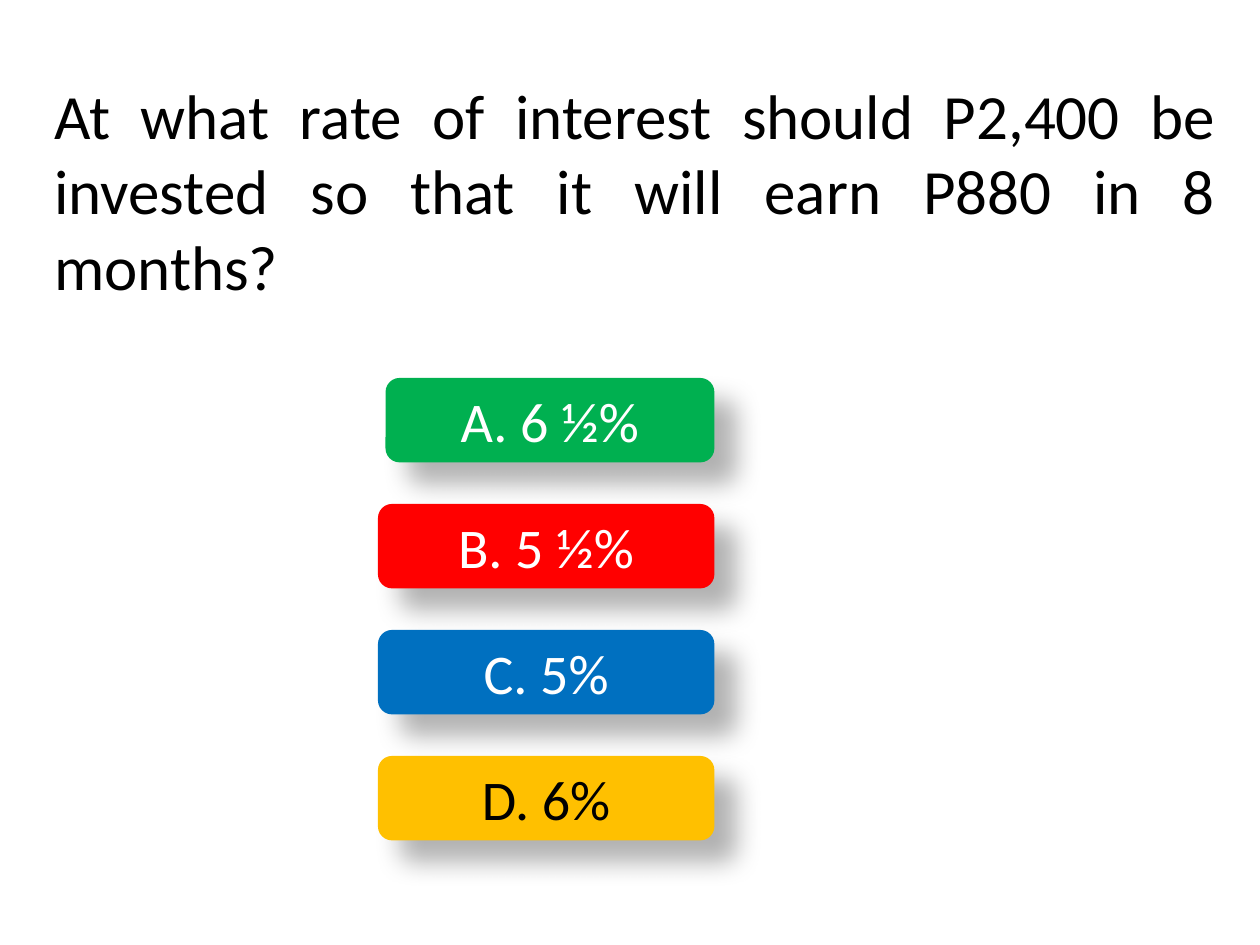
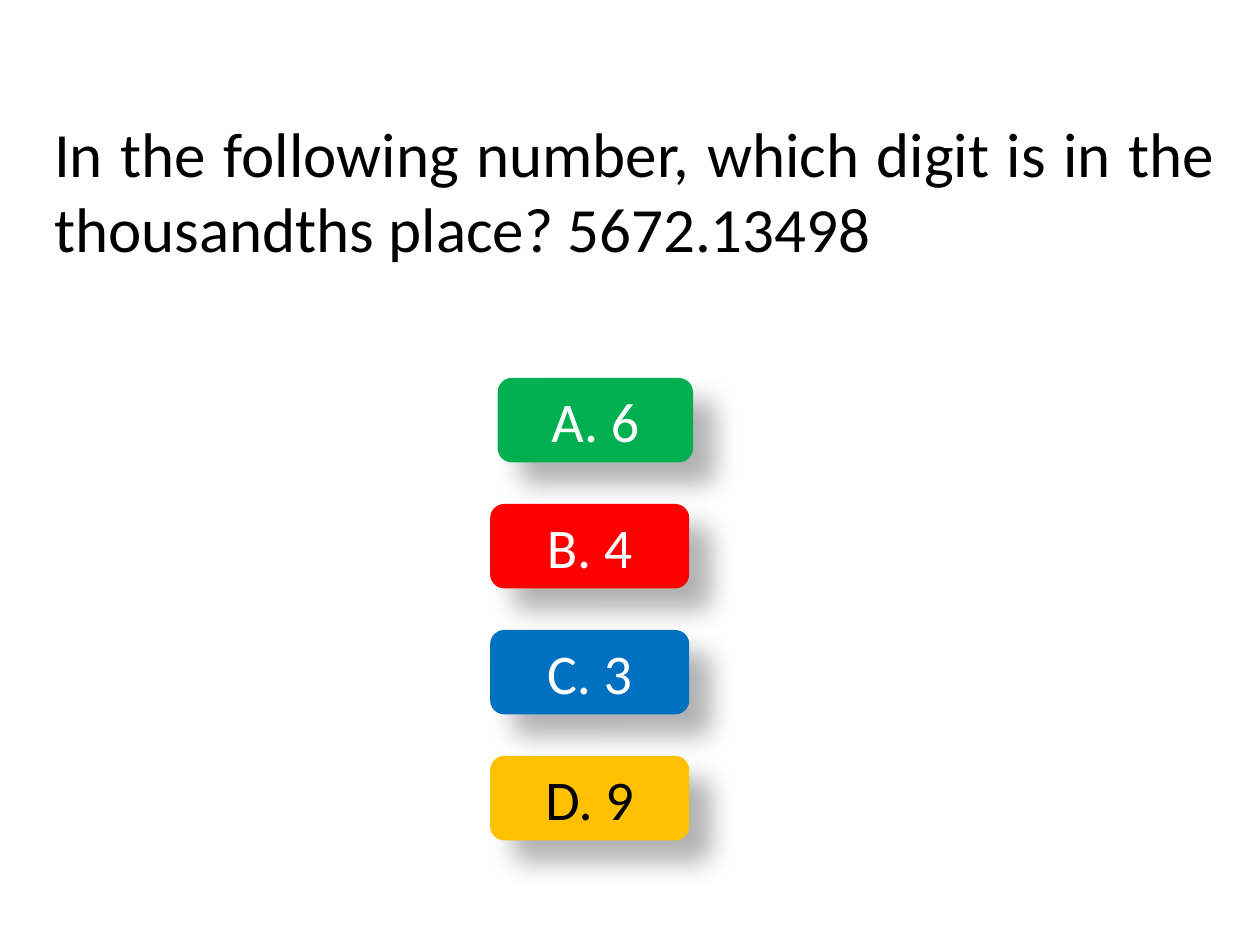
import dataclasses

import lxml.etree
import pptx
import pptx.dml.color
import pptx.enum.shapes
import pptx.enum.text
import pptx.oxml.ns
import pptx.util

Inches = pptx.util.Inches
Pt = pptx.util.Pt
ALIGN = pptx.enum.text.PP_ALIGN

FONT = "Calibri"
BLACK, WHITE = "000000", "FFFFFF"
TITLE_FORMAT = {"name": FONT, "size": Pt(36), "bold": False}
ANSWER_FORMAT = {"name": FONT, "size": Pt(32), "bold": False}
ANSWER_COLOURS = [
    ("00B050", WHITE),
    ("FF0000", WHITE),
    ("0070C0", WHITE),
    ("FFC000", BLACK),
]
ANSWER_TOP, ANSWER_PITCH, ANSWER_HEIGHT = 3, 1, 0.67
SHADOW = {
    "blurRad": str(Pt(15)),
    "dist": str(Pt(18)),
    "dir": str(45 * 60000),
    "algn": "ctr",
    "rotWithShape": "0",
}
SHADOW_ALPHA = "30000"


@dataclasses.dataclass
class Span:
    left: float
    width: float


@dataclasses.dataclass
class Question:
    text: str
    answers: list[str]
    first: Span
    others: Span


QUESTIONS = [
    Question(
        "At what rate of interest should P2,400 be invested so that it will earn P880 in 8 months?",
        ["A. 6 ½%", "B. 5 ½%", "C. 5%", "D. 6%"],
        Span(3.06, 2.61),
        Span(3, 2.67),
    ),
    Question(
        "In the following number, which digit is in the thousandths place? 5672.13498",
        ["A. 6", "B. 4", "C. 3", "D. 9"],
        Span(3.95, 1.55),
        Span(3.89, 1.58),
    ),
]


def rgb(colour: str) -> pptx.dml.color.RGBColor:
    return pptx.dml.color.RGBColor.from_string(colour)


def write_text(sp, text: str, fmt: dict, colour: str, align) -> None:
    tf = sp.text_frame
    tf.word_wrap = True
    tf.vertical_anchor = pptx.enum.text.MSO_ANCHOR.MIDDLE
    p = tf.paragraphs[0]
    p.alignment = align
    r = p.add_run()
    r.text = text
    for name, value in fmt.items():
        setattr(r.font, name, value)
    r.font.color.rgb = rgb(colour)


def add_shadow(sp) -> None:
    sp.shadow.inherit = False
    qn = pptx.oxml.ns.qn
    effects = sp._element.spPr.find(qn("a:effectLst"))
    shadow = lxml.etree.SubElement(effects, qn("a:outerShdw"), SHADOW)
    colour = lxml.etree.SubElement(shadow, qn("a:srgbClr"), val=BLACK)
    lxml.etree.SubElement(colour, qn("a:alpha"), val=SHADOW_ALPHA)


def add_answer(s, text: str, span: Span, top: float, fill: str, colour: str) -> None:
    sp = s.shapes.add_shape(
        pptx.enum.shapes.MSO_SHAPE.ROUNDED_RECTANGLE,
        Inches(span.left), Inches(top), Inches(span.width), Inches(ANSWER_HEIGHT),
    )
    sp.fill.solid()
    sp.fill.fore_color.rgb = rgb(fill)
    sp.line.fill.background()
    add_shadow(sp)
    write_text(sp, text, ANSWER_FORMAT, colour, ALIGN.CENTER)


def add_question(prs, question: Question) -> None:
    s = prs.slides.add_slide(prs.slide_layouts.get_by_name("Title Only"))
    title = s.shapes.title
    title.left, title.top = Inches(0.33), Inches(0.42)
    title.width, title.height = Inches(9.42), Inches(2.17)
    write_text(title, question.text, TITLE_FORMAT, BLACK, ALIGN.JUSTIFY)
    for i, (text, (fill, colour)) in enumerate(zip(question.answers, ANSWER_COLOURS)):
        span = question.others if i else question.first
        add_answer(s, text, span, ANSWER_TOP + i * ANSWER_PITCH, fill, colour)


def main() -> None:
    prs = pptx.Presentation()
    prs.slide_width, prs.slide_height = Inches(10), Inches(7.5)
    for question in QUESTIONS:
        add_question(prs, question)
    prs.save("out.pptx")


if __name__ == "__main__":
    main()
